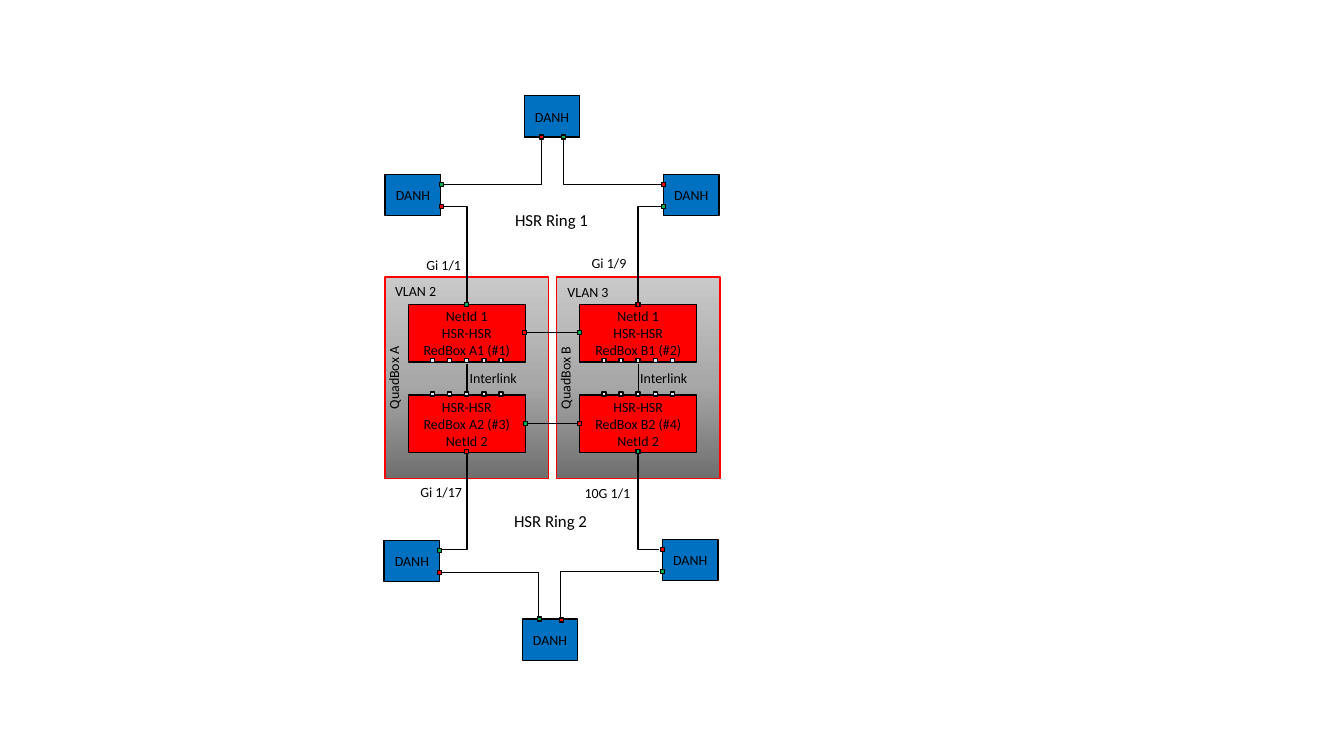
from pptx import Presentation
from pptx.util import Inches, Pt
from pptx.dml.color import RGBColor
from pptx.enum.shapes import MSO_CONNECTOR as Link, MSO_SHAPE as Shape
from pptx.enum.text import MSO_ANCHOR as Anchor, PP_ALIGN as Align
from pptx.oxml.ns import qn
from lxml import etree
from copy import deepcopy

RED, GREEN, BLUE, PALE, BLACK = "FF0000", "00B050", "0070C0", "E7E6E6", "000000"
SHADES = [("6F6F6F", 0), ("A8A8A8", 48), ("C9C9C9", 100)]
PORT = 0.04

deck = Presentation()
deck.slide_width, deck.slide_height = Inches(13.33), Inches(7.5)
slide = deck.slides.add_slide(deck.slide_layouts[6])
shapes = slide.shapes


def box(x, y, w, h, text="", fill=None, line=BLACK, size=10, pad=0, anchor=Anchor.MIDDLE):
    """Draw a filled box, or a plain label when there is no fill."""
    area = [Inches(v) for v in (x, y, w, h)]
    if fill:
        item = shapes.add_shape(Shape.RECTANGLE, *area)
        item.shadow.inherit = False
        item.fill.solid()
        item.fill.fore_color.rgb = RGBColor.from_string(fill)
        item.line.color.rgb = RGBColor.from_string(line)
        item.line.width = Pt(1)
    else:
        item = shapes.add_textbox(*area)
    frame = item.text_frame
    if text:
        frame.text = text
        frame.word_wrap = bool(fill)
        if fill:
            frame.margin_left = frame.margin_right = Inches(pad)
            frame.vertical_anchor = anchor
        for para in frame.paragraphs:
            para.alignment = Align.CENTER if fill else Align.LEFT
            font = para.runs[0].font
            font.name, font.size = "Calibri", Pt(size)
            font.color.rgb = RGBColor.from_string(BLACK)
    return item


def wire(x1, y1, x2, y2):
    """Draw a straight line, or one corner: across first, then up or down."""
    bent = x1 != x2 and y1 != y2
    kind = Link.ELBOW if bent else Link.STRAIGHT
    item = shapes.add_connector(kind, *[Inches(v) for v in (x1, y1, x2, y2)])
    item.line.color.rgb = RGBColor.from_string(BLACK)
    item.line.width = Pt(1)
    props = item._element.spPr
    if bent:
        props.find(qn("a:prstGeom")).set("prst", "bentConnector2")
    etree.SubElement(props, qn("a:effectLst"))


# QuadBoxes with a grey gradient and upright names
for name, x in (("A", 3.82), ("B", 5.52)):
    quad = box(x, 2.75, 1.62, 2, f"QuadBox {name}", PALE, RED, anchor=Anchor.TOP)
    quad.text_frame.margin_right = Inches(0.1)
    quad.text_frame._txBody.bodyPr.set("vert", "vert270")
    quad.fill.gradient()
    quad.fill.gradient_angle = 90
    stops = quad.fill._fill._gradFill.gsLst
    stops.append(deepcopy(stops[0]))
    for stop, (shade, spot) in zip(stops, SHADES):
        stop.set("pos", str(spot * 1000))
        for child in list(stop):
            stop.remove(child)
        etree.SubElement(stop, qn("a:srgbClr")).set("val", shade)

# Ring wires from the side nodes: left and right, outer and inner
wires = [
    (4.39, 1.83, 5.37, 1.38), (6.56, 1.83, 5.59, 1.38),
    (4.39, 2.05, 4.63, 3), (6.56, 2.05, 6.33, 3),
    (4.38, 5.68, 5.34, 6.12), (6.54, 5.67, 5.56, 6.12),
    (4.38, 5.45, 4.63, 4.5), (6.54, 5.45, 6.33, 4.5),
]
# Links between the RedBoxes
wires += [(4.63, 3.61, 4.63, 3.89), (6.33, 3.61, 6.33, 3.89),
          (5.22, 3.3, 5.73, 3.3), (5.23, 4.2, 5.74, 4.2)]
for ends in wires:
    wire(*ends)

# RedBoxes with their rows of interlink ports
for x, top, low in ((4.05, "A1 (#1)", "A2 (#3)"), (5.75, "B1 (#2)", "B2 (#4)")):
    box(x, 3.02, 1.16, 0.57, f"NetId 1\nHSR-HSR\nRedBox {top}", RED)
    box(x, 3.92, 1.16, 0.57, f"HSR-HSR\nRedBox {low}\nNetId 2", RED)
    for y in (3.56, 3.89):
        for i in range(5):
            box(x + 0.22 + 0.17 * i, y, PORT, PORT, fill=PALE)

# DANH nodes
for x, y in ((5.2, 0.95), (3.82, 1.73), (6.58, 1.73),
             (5.18, 6.14), (3.81, 5.36), (6.57, 5.35)):
    box(x, y, 0.55, 0.41, "DANH", BLUE)

# Ring ports
ports = {
    GREEN: [(5.57, 1.34), (4.36, 1.81), (6.56, 2.03), (4.61, 3), (5.73, 3.28), (5.19, 4.18),
            (6.31, 4.46), (4.34, 5.44), (6.55, 5.65), (5.33, 6.12)],
    RED: [(5.35, 1.34), (4.36, 2.03), (6.56, 1.81), (6.31, 3), (5.18, 3.28), (5.73, 4.18),
          (4.61, 4.46), (4.34, 5.66), (6.55, 5.43), (5.55, 6.13)],
}
for tone, spots in ports.items():
    for x, y in spots:
        box(x, y, PORT, PORT, fill=tone)

# Labels
for text, x, y, w in (
    ("VLAN 2", 3.82, 2.75, 0.62), ("VLAN 3", 5.53, 2.76, 0.62),
    ("Gi 1/1", 4.13, 2.5, 0.55), ("Gi 1/9", 5.77, 2.48, 0.55),
    ("Gi 1/17", 4.07, 4.75, 0.62), ("10G 1/1", 5.7, 4.76, 0.66),
    ("Interlink", 4.56, 3.62, 0.68), ("Interlink", 6.25, 3.62, 0.68),
):
    box(x, y, w, 0.27, text)
box(5.01, 2.03, 0.93, 0.3, "HSR Ring 1", size=12)
box(5, 5.02, 0.93, 0.3, "HSR Ring 2", size=12)

deck.save("out.pptx")
